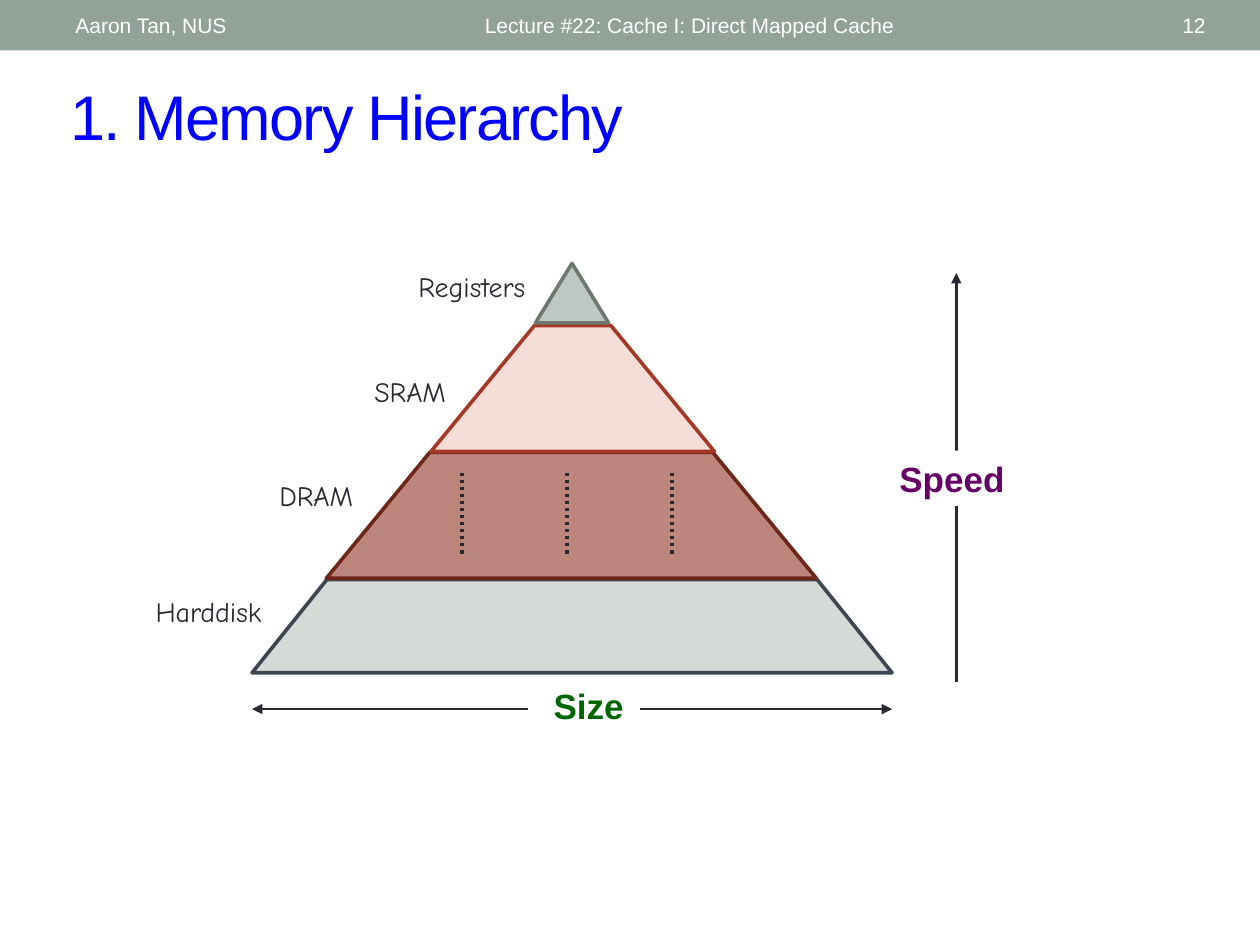
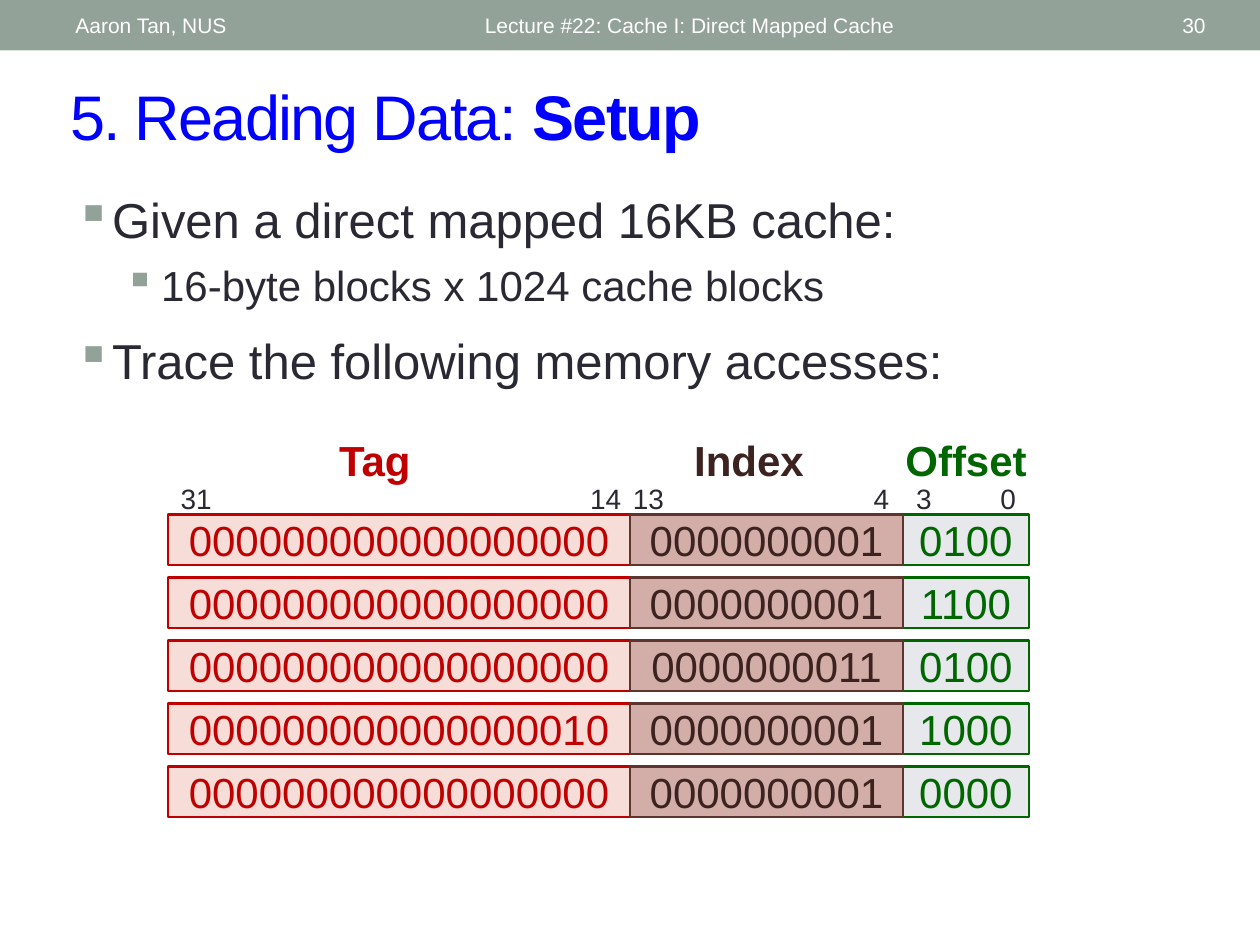
"""Builds two lecture slides on the memory hierarchy and a direct mapped cache."""
from dataclasses import dataclass

from lxml import etree
from pptx import Presentation
from pptx import util as u
from pptx.dml.color import RGBColor
from pptx.enum import dml, shapes, text
from pptx.oxml.ns import qn
from pptx.shapes.autoshape import Shape
from pptx.shapes.connector import Connector
from pptx.slide import Slide

ALIGN = text.PP_ALIGN
GEOMETRY = shapes.MSO_SHAPE


@dataclass(frozen=True)
class Theme:
    font: str = "Arial"
    casual_font: str = "Comic Neue"
    band: str = "93A299"
    white: str = "FFFFFF"
    title: str = "0000FF"
    ink: str = "292934"
    size_label: str = "006600"
    speed_label: str = "660066"
    header_size: int = 12
    label_size: int = 16
    axis_size: int = 20
    field_size: int = 24
    body_size: int = 28
    title_size: int = 36


THEME = Theme()


@dataclass(frozen=True)
class Box:
    left: float
    top: float
    width: float
    height: float

    def points(self) -> tuple:
        return tuple(u.Pt(v) for v in (self.left, self.top, self.width, self.height))


@dataclass(frozen=True)
class Style:
    size: int
    color: str = THEME.ink
    bold: bool = False
    font: str = THEME.font
    align: ALIGN = ALIGN.CENTER


@dataclass(frozen=True)
class Layer:
    geometry: GEOMETRY
    box: Box
    fill: str
    line: str
    slope: float


@dataclass(frozen=True)
class Field:
    name: str
    left: float
    width: float
    name_center: float
    fill: str
    line: str
    color: str
    bit_labels: dict
    values: tuple


@dataclass(frozen=True)
class Bullet:
    text: str
    size: int
    margin: float
    space_before: float


LAYERS = (
    Layer(GEOMETRY.TRAPEZOID, Box(144, 331.2, 365.76, 53.28), "D4DAD6", "3E4652", 0.803),
    Layer(GEOMETRY.TRAPEZOID, Box(186.5, 258.5, 280, 72), "BD867C", "6E2619", 0.822),
    Layer(GEOMETRY.TRAPEZOID, Box(246.24, 186, 162, 72), "F6DDD8", "A53926", 0.822),
    Layer(GEOMETRY.ISOSCELES_TRIANGLE, Box(306, 150.5, 41.76, 34), "BEC7C2", "6D7871", 0.5),
)
LAYER_LABELS = {
    "Registers": Box(226.8, 150.5, 85.68, 26.64),
    "SRAM": Box(203.76, 210.24, 61.2, 26.64),
    "DRAM": Box(149.76, 270, 61.92, 26.64),
    "Harddisk": Box(77.76, 336.24, 82.8, 26.64),
}
FIELDS = (
    Field("Tag", 96, 264, 214.2, "F6DDD8", "C00000", "C00000",
          {"31": 112, "14": 346},
          ("0" * 18, "0" * 18, "0" * 18, "000000000000000010", "0" * 18)),
    Field("Offset", 516, 72, 552, "E6E8EC", "006600", "006600",
          {"3": 528, "0": 576},
          ("0100", "1100", "0100", "1000", "0000")),
    Field("Index", 360, 156, 428, "D3AEA8", "5B352E", "3C231F",
          {"13": 370.5, "4": 503.7},
          ("0000000001", "0000000001", "0000000011", "0000000001", "0000000001")),
)
BULLETS = (
    Bullet("Given a direct mapped 16KB cache:", THEME.body_size, 21, 0),
    Bullet("16-byte blocks x 1024 cache blocks", THEME.field_size, 49, 6),
    Bullet("Trace the following memory accesses:", THEME.body_size, 21, 12),
)


def format_run(run, style: Style) -> None:
    run.font.name = style.font
    run.font.size = u.Pt(style.size)
    run.font.bold = style.bold
    run.font.color.rgb = RGBColor.from_string(style.color)


def write(shape: Shape, words: str, style: Style, middle: bool = True) -> None:
    frame = shape.text_frame
    frame.text = words
    frame.word_wrap = False
    frame.vertical_anchor = text.MSO_ANCHOR.MIDDLE if middle else text.MSO_ANCHOR.TOP
    paragraph = frame.paragraphs[0]
    paragraph.alignment = style.align
    format_run(paragraph.runs[0], style)


def add_text(slide: Slide, box: Box, words: str, style: Style, middle: bool = True) -> Shape:
    shape = slide.shapes.add_textbox(*box.points())
    write(shape, words, style, middle)
    return shape


def add_figure(slide: Slide, geometry: GEOMETRY, box: Box, fill: str,
               line: str = "", line_width: float = 1.5) -> Shape:
    shape = slide.shapes.add_shape(geometry, *box.points())
    shape.shadow.inherit = False
    shape.fill.solid()
    shape.fill.fore_color.rgb = RGBColor.from_string(fill)
    if line:
        shape.line.color.rgb = RGBColor.from_string(line)
        shape.line.width = u.Pt(line_width)
    else:
        shape.line.fill.background()
    return shape


def add_line(slide: Slide, start: tuple, end: tuple, width: float) -> Connector:
    connector = slide.shapes.add_connector(
        shapes.MSO_CONNECTOR.STRAIGHT, *(u.Pt(v) for v in (*start, *end)))
    connector.line.color.rgb = RGBColor.from_string(THEME.ink)
    connector.line.width = u.Pt(width)
    etree.SubElement(connector._element.spPr, qn("a:effectLst"))
    return connector


def add_arrow(slide: Slide, start: tuple, end: tuple) -> None:
    connector = add_line(slide, start, end, 1.5)
    etree.SubElement(connector.line._get_or_add_ln(), qn("a:tailEnd"), type="triangle")


def add_lecture_slide(presentation, number: int, title: str, emphasis: str = "") -> Slide:
    slide = presentation.slides.add_slide(presentation.slide_layouts[6])
    add_figure(slide, GEOMETRY.RECTANGLE, Box(0, 0, 720, 28.8), THEME.band)
    header = (
        ("Aaron Tan, NUS", 36, 228, ALIGN.LEFT),
        ("Lecture #22: Cache I: Direct Mapped Cache", 270, 324, ALIGN.LEFT),
        (str(number), 628, 68, ALIGN.RIGHT),
    )
    for words, left, width, align in header:
        style = Style(THEME.header_size, THEME.white, align=align)
        add_text(slide, Box(left, 1.5, width, 26), words, style).text_frame.word_wrap = True
    style = Style(THEME.title_size, THEME.title, align=ALIGN.LEFT)
    heading = add_text(slide, Box(33, 41, 663, 50.4), title, style)
    heading.text_frame.word_wrap = True
    paragraph = heading.text_frame.paragraphs[0]
    if emphasis:
        run = paragraph.add_run()
        run.text = emphasis
        format_run(run, Style(THEME.title_size, THEME.title, True))
    for run in paragraph.runs:
        run.font._element.set("spc", "-100")
    return slide


def add_bullets(slide: Slide, box: Box) -> None:
    frame = slide.shapes.add_textbox(*box.points()).text_frame
    frame.word_wrap = True
    for index, bullet in enumerate(BULLETS):
        paragraph = frame.add_paragraph() if index else frame.paragraphs[0]
        paragraph.text = bullet.text
        properties = paragraph._p.get_or_add_pPr()
        properties.set("marL", str(u.Pt(bullet.margin)))
        properties.set("indent", str(-u.Pt(21)))
        color = etree.SubElement(properties, qn("a:buClr"))
        etree.SubElement(color, qn("a:srgbClr"), val=THEME.band)
        etree.SubElement(properties, qn("a:buChar"), char="▪")
        if bullet.space_before:
            paragraph.space_before = u.Pt(bullet.space_before)
        format_run(paragraph.runs[0], Style(bullet.size))


def build_hierarchy(presentation) -> None:
    slide = add_lecture_slide(presentation, 12, "1. Memory Hierarchy")
    add_text(slide, Box(309, 387.5, 54.72, 31.68), "Size",
             Style(THEME.axis_size, THEME.size_label, True))
    size_y = 405.2
    add_arrow(slide, (301.7, size_y), (144, size_y))
    add_arrow(slide, (365.8, size_y), (509.8, size_y))
    add_arrow(slide, (546.5, 390), (546.5, 156))
    speed = add_figure(slide, GEOMETRY.RECTANGLE, Box(504, 257.5, 80, 31.68), THEME.white)
    write(speed, "Speed", Style(THEME.axis_size, THEME.speed_label, True))
    for layer in LAYERS:
        shape = add_figure(slide, layer.geometry, layer.box, layer.fill, layer.line, 2.08)
        shape.adjustments[0] = layer.slope
    for x in range(264, 385, 60):
        add_line(slide, (x, 270), (x, 318), 2).line.dash_style = dml.MSO_LINE.ROUND_DOT
    for words, box in LAYER_LABELS.items():
        style = Style(THEME.label_size, font=THEME.casual_font)
        add_text(slide, box, words, style, middle=False)


def build_setup(presentation) -> None:
    slide = add_lecture_slide(presentation, 30, "5. Reading Data: ", "Setup")
    add_bullets(slide, Box(36, 105, 648, 141))
    for field in FIELDS:
        add_text(slide, Box(field.name_center - 42, 244.8, 84, 36), field.name,
                 Style(THEME.field_size, field.color, True), middle=False)
        for bit, center in field.bit_labels.items():
            add_text(slide, Box(center - 16, 271.5, 32, 26.64), bit,
                     Style(THEME.label_size), middle=False)
    for row in range(5):
        for field in FIELDS:
            box = Box(field.left, 294 + 36 * row, field.width, 28.8)
            cell = add_figure(slide, GEOMETRY.RECTANGLE, box, field.fill, field.line)
            write(cell, field.values[row], Style(THEME.field_size, field.color))
            cell.text_frame.margin_top = cell.text_frame.margin_bottom = 0


def main() -> None:
    presentation = Presentation()
    presentation.slide_width, presentation.slide_height = u.Pt(720), u.Pt(540)
    build_hierarchy(presentation)
    build_setup(presentation)
    presentation.save("out.pptx")


if __name__ == "__main__":
    main()
